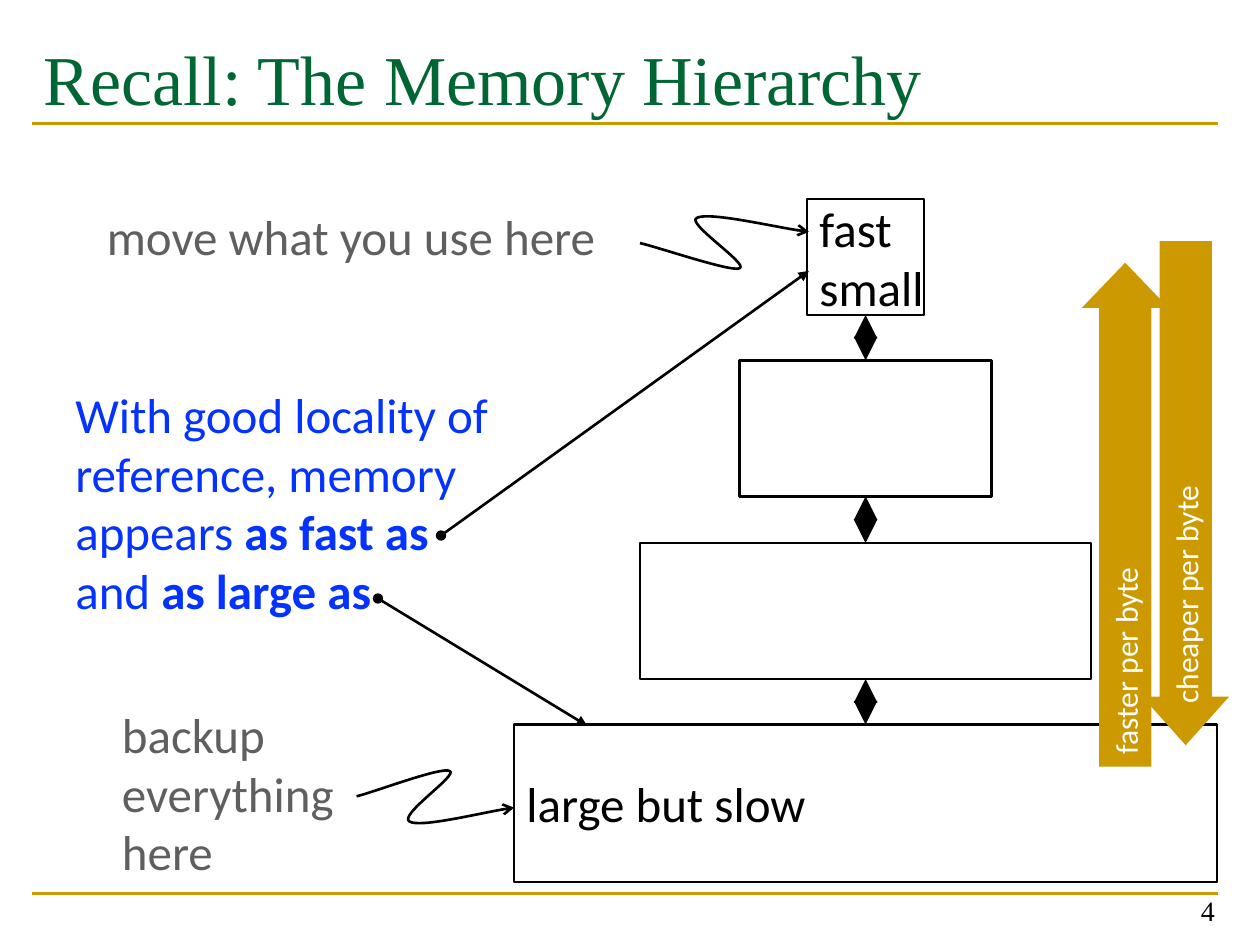
from lxml import etree
from pptx import Presentation
from pptx.dml.color import RGBColor
from pptx.enum.shapes import MSO_CONNECTOR, MSO_SHAPE
from pptx.enum.text import MSO_ANCHOR, PP_ALIGN
from pptx.oxml.ns import qn
from pptx.util import Inches, Pt

COLORS = {"gold": "CC9900", "green": "006633", "black": "000000",
          "white": "FFFFFF", "gray": "5F5F5F", "blue": "0432FF"}
SERIF, SANS = "Times New Roman", "Calibri"


def rgb(name):
    return RGBColor.from_string(COLORS[name])


def write(shape, text, size=28, font=SANS, color="black", align=PP_ALIGN.LEFT,
          anchor=MSO_ANCHOR.TOP, wrap=False):
    """Fill a shape with text: newlines part paragraphs, ** turns bold on and off."""
    frame = shape.text_frame
    frame.word_wrap = wrap
    frame.vertical_anchor = anchor
    for number, line in enumerate(text.split("\n")):
        para = frame.add_paragraph() if number else frame.paragraphs[0]
        para.alignment = align
        for index, part in enumerate(line.split("**")):
            if part:
                span = para.add_run()
                span.text = part
                span.font.size, span.font.name = Pt(size), font
                span.font.bold = index % 2 == 1
                span.font.color.rgb = rgb(color)


def add_text(page, box, text, **style):
    shape = page.shapes.add_textbox(*map(Inches, box))
    write(shape, text, **style)
    return shape


def set_line(shape, color="black", width=1.5, head=None, tail=None):
    shape.line.color.rgb = rgb(color)
    shape.line.width = Pt(width)
    for tag, kind in (("a:headEnd", head), ("a:tailEnd", tail)):
        if kind:
            etree.SubElement(shape.line._get_or_add_ln(), qn(tag), type=kind)


def add_line(page, start, end, **style):
    line = page.shapes.add_connector(MSO_CONNECTOR.STRAIGHT,
                                     *map(Inches, (*start, *end)))
    set_line(line, **style)
    etree.SubElement(line._element.spPr, qn("a:effectLst"))
    return line


def add_curve(page, points):
    """Draw a Bezier curve: a start, then two controls and an end per piece."""
    builder = page.shapes.build_freeform(*map(Inches, points[0]), scale=1.0)
    builder.add_line_segments([tuple(map(Inches, p)) for p in points[1:]], close=False)
    curve = builder.convert_to_shape()
    curve.shadow.inherit = False
    curve.fill.background()
    set_line(curve, tail="arrow")
    outline = next(curve._element.iter(qn("a:path")))
    steps = outline.findall(qn("a:lnTo"))
    for first in range(0, len(steps), 3):
        piece = etree.SubElement(outline, qn("a:cubicBezTo"))
        for step in steps[first:first + 3]:
            piece.append(step[0])
            outline.remove(step)


def add_level(page, box, text=""):
    level = page.shapes.add_shape(MSO_SHAPE.RECTANGLE, *map(Inches, box))
    level.shadow.inherit = False
    level.fill.solid()
    level.fill.fore_color.rgb = rgb("white")
    set_line(level)
    if text:
        write(level, text, anchor=MSO_ANCHOR.MIDDLE)
    return level


def link_levels(page, upper, lower):
    link = add_line(page, (0, 0), (0, 0), width=4.5, head="triangle", tail="triangle")
    link.begin_connect(upper, 2)
    link.end_connect(lower, 0)


def add_cost_arrow(page, box, text, head, flip=False):
    """Place a right arrow turned to point up, or down when flipped."""
    arrow = page.shapes.add_shape(MSO_SHAPE.RIGHT_ARROW, *map(Inches, box))
    arrow.rotation = 270
    arrow.adjustments[0], arrow.adjustments[1] = 0.6, head
    arrow.shadow.inherit = False
    arrow.fill.solid()
    arrow.fill.fore_color.rgb = rgb("gold")
    arrow.line.fill.background()
    if flip:
        arrow._element.spPr.xfrm.set("flipH", "1")
    write(arrow, text, size=18, color="white", anchor=MSO_ANCHOR.MIDDLE)


def add_frame(page, left, width):
    for y in (0.98, 7.09):
        add_line(page, (left, y), (left + width, y), color="gold")
    title = add_text(page, (left, 0.17, width, 1.17), "Recall: The Memory Hierarchy",
                     size=40, font=SERIF, color="green", wrap=True)
    title.text_frame.margin_top = Inches(0.11)
    add_text(page, (7.41, 6.91, 2.33, 0.5), "4", size=16, font=SERIF,
             align=PP_ALIGN.RIGHT, anchor=MSO_ANCHOR.BOTTOM, wrap=True)


def add_hierarchy(page, center):
    rows = [(1.58, 0.93, 0.92, "fast\nsmall"), (2.86, 2, 1.08, ""),
            (4.31, 3.58, 1.08, ""), (5.75, 5.58, 1.25, "large but slow")]
    levels = [add_level(page, (center - width / 2, top, width, height), text)
              for top, width, height, text in rows]
    for upper, lower in zip(levels, levels[1:]):
        link_levels(page, upper, lower)


def add_notes_on_locality(page):
    add_text(page, (0.75, 1.59, 4.12, 0.57), "move what you use here", color="gray")
    add_curve(page, [(5.08, 1.93), (5.22, 1.96), (5.8, 2.16), (5.87, 2.13),
                     (5.95, 2.1), (5.44, 1.77), (5.53, 1.73),
                     (5.62, 1.68), (6.23, 1.82), (6.42, 1.84)])
    add_text(page, (0.87, 5.54, 1.9, 1.51), "backup\neverything\nhere", color="gray")
    add_curve(page, [(2.83, 6.32), (2.96, 6.29), (3.51, 6.08), (3.57, 6.12),
                     (3.64, 6.15), (3.16, 6.47), (3.25, 6.52),
                     (3.33, 6.57), (3.91, 6.43), (4.08, 6.41)])
    add_text(page, (0.5, 3, 3.7, 1.99),
             "With good locality of reference, memory appears **as fast as**\n"
             "and **as large as**", color="blue", wrap=True)
    for start, end in (((3.5, 4.25), (6.42, 2.15)), ((3, 4.75), (4.66, 5.76))):
        add_line(page, start, end, head="oval", tail="triangle")


def main():
    deck = Presentation()
    deck.slide_width, deck.slide_height = Inches(10), Inches(7.5)
    page = deck.slides.add_slide(deck.slide_layouts[6])
    add_frame(page, 0.25, 9.42)
    add_hierarchy(page, 6.87)
    add_notes_on_locality(page)
    add_cost_arrow(page, (6.93, 3.74, 4, 0.69), "faster per byte", 0.52)
    add_cost_arrow(page, (7.41, 3.57, 4, 0.69), "cheaper per byte", 0.56, flip=True)
    deck.save("out.pptx")


if __name__ == "__main__":
    main()
